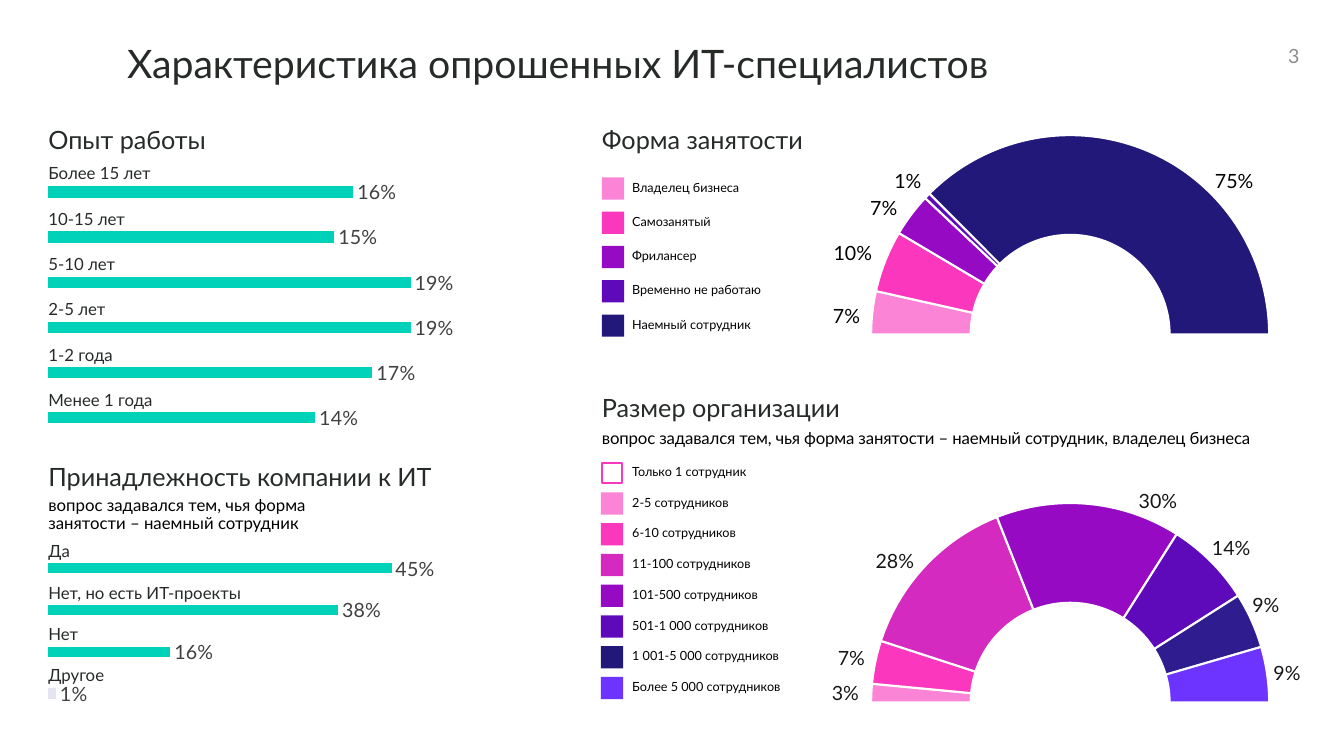
from pptx import Presentation
from pptx.chart.data import CategoryChartData
from pptx.dml.color import RGBColor
from pptx.enum.chart import XL_CHART_TYPE, XL_LABEL_POSITION
from pptx.enum.shapes import MSO_SHAPE
from pptx.enum.text import MSO_ANCHOR, PP_ALIGN
from pptx.oxml import parse_xml
from pptx.oxml.ns import nsdecls
from pptx.util import Inches, Pt

BAR, DOUGHNUT = XL_CHART_TYPE.BAR_CLUSTERED, XL_CHART_TYPE.DOUGHNUT
OUTSIDE_END = XL_LABEL_POSITION.OUTSIDE_END
RECTANGLE = MSO_SHAPE.RECTANGLE
TOP, MIDDLE = MSO_ANCHOR.TOP, MSO_ANCHOR.MIDDLE
LEFT, CENTER, RIGHT = PP_ALIGN.LEFT, PP_ALIGN.CENTER, PP_ALIGN.RIGHT

DARK, BLACK, SOFT_BLACK, GREY = "262B28", "000000", "181717", "8C8C8C"
TEAL, PALE, WHITE, LABEL_GREY = "00D2B9", "E4E4F2", "FFFFFF", "404040"
PINK, MAGENTA, ORCHID, PURPLE = "FC84D7", "FA37BD", "D42AC0", "960AC3"
VIOLET, NAVY, INDIGO, BLUE = "5E0ABA", "22187A", "2F1D90", "6D33FF"

TITLE = "Характеристика опрошенных ИТ-специалистов"
HEADINGS = [
    ("Опыт работы", 0.48, 1.27, 4.12),
    ("Принадлежность компании к ИТ", 0.48, 4.61, 4.22),
    ("Форма занятости", 5.97, 1.27, 2.39),
    ("Размер организации", 5.97, 3.93, 2.93),
]
COMPANY_NOTE = "вопрос задавался тем, чья форма занятости – наемный сотрудник"
SIZE_NOTE = COMPANY_NOTE + ", владелец бизнеса"

BAR_BLOCKS = [
    {
        "rows": [("Более 15 лет", 0.16), ("10-15 лет", 0.15), ("5-10 лет", 0.19),
                 ("2-5 лет", 0.19), ("1-2 года", 0.17), ("Менее 1 года", 0.14)],
        "box": (0.48, 1.68, 4.12, 2.69), "label_top": 1.64, "step": 0.45,
        "maximum": 0.2, "pale_last": False,
    },
    {
        "rows": [("Да", 0.45), ("Нет, но есть ИТ-проекты", 0.38), ("Нет", 0.16),
                 ("Другое", 0.01)],
        "box": (0.48, 5.43, 4.12, 1.66), "label_top": 5.39, "step": 0.41,
        "maximum": 0.5, "pale_last": True,
    },
]

# legend: text, swatch colour, slice colour, share
# percents: text, left, top, width, alignment
RING_BLOCKS = [
    {
        "legend": [
            ("Владелец бизнеса", PINK, PINK, 7),
            ("Самозанятый", MAGENTA, MAGENTA, 10),
            ("Фрилансер", PURPLE, PURPLE, 7),
            ("Временно не работаю", VIOLET, VIOLET, 1),
            ("Наемный сотрудник", NAVY, NAVY, 75),
        ],
        "ring_top": 1.18, "legend_left": 5.97, "legend_top": 1.76, "step": 0.34,
        "color": BLACK,
        "percents": [
            ("7%", 8.16, 3.04, 0.37, RIGHT), ("10%", 8.26, 2.42, 0.39, RIGHT),
            ("7%", 8.59, 1.97, 0.31, RIGHT), ("1%", 8.68, 1.7, 0.46, RIGHT),
            ("75%", 12.05, 1.7, 0.51, LEFT),
        ],
    },
    {
        "legend": [
            ("Только 1 сотрудник", None, WHITE, 0),
            ("2-5 сотрудников", PINK, PINK, 3),
            ("6-10 сотрудников", MAGENTA, MAGENTA, 7),
            ("11-100 сотрудников", ORCHID, ORCHID, 28),
            ("101-500 сотрудников", PURPLE, PURPLE, 30),
            ("501-1 000 сотрудников", VIOLET, VIOLET, 14),
            ("1 001-5 000 сотрудников", NAVY, INDIGO, 9),
            ("Более 5 000 сотрудников", BLUE, BLUE, 9),
        ],
        "ring_top": 4.83, "legend_left": 5.96, "legend_top": 4.58, "step": 0.305,
        "color": SOFT_BLACK,
        "percents": [
            ("3%", 8.2, 6.78, 0.37, CENTER), ("7%", 8.26, 6.43, 0.37, CENTER),
            ("28%", 8.63, 5.47, 0.49, CENTER), ("30%", 11.24, 4.88, 0.49, CENTER),
            ("14%", 12.02, 5.34, 0.49, LEFT), ("9%", 12.42, 5.91, 0.49, LEFT),
            ("9%", 12.63, 6.58, 0.49, LEFT),
        ],
    },
]


def rgb(color):
    return RGBColor.from_string(color)


def paint(fill, color):
    fill.solid()
    fill.fore_color.rgb = rgb(color)


def write(shape, text, size, color, align=LEFT, spacing=0.9, anchor=TOP):
    frame = shape.text_frame
    frame_format = {"margin_left": 0, "margin_top": 0, "margin_right": 0,
                    "margin_bottom": 0, "word_wrap": True, "vertical_anchor": anchor}
    for name, value in frame_format.items():
        setattr(frame, name, value)
    paragraph = frame.paragraphs[0]
    paragraph.alignment, paragraph.line_spacing = align, spacing
    run = paragraph.add_run()
    run.text = text
    run.font.name, run.font.size = "Lato", Pt(size)
    run.font.color.rgb = rgb(color)
    return run


def add_text(text, left, top, width, height, size, color, **text_format):
    box = slide.shapes.add_textbox(*map(Inches, (left, top, width, height)))
    return write(box, text, size, color, **text_format)


def add_chart(kind, values, box, plot_area):
    """Add a one-series chart whose plot area takes the given fractions."""
    data = CategoryChartData()
    data.categories = [str(number + 1) for number in range(len(values))]
    data.add_series("Series 1", values)
    chart = slide.shapes.add_chart(kind, *map(Inches, box), data).chart
    chart.has_legend = chart.has_title = False
    chart.font.name, chart.font.size = "Calibri", Pt(10)
    chart.font.color.rgb = rgb(BLACK)
    area = chart.element.xpath("c:chart/c:plotArea")[0]
    for layout in area.xpath("c:layout"):
        area.remove(layout)
    sides = "".join(f'<c:{side} val="{value}"/>' for side, value in zip("xywh", plot_area))
    area.insert(0, parse_xml(
        f'<c:layout {nsdecls("c")}><c:manualLayout><c:layoutTarget val="inner"/>'
        f'<c:xMode val="edge"/><c:yMode val="edge"/>{sides}</c:manualLayout></c:layout>'))
    return chart


def add_bar_block(block):
    values = [value for _, value in reversed(block["rows"])]
    chart = add_chart(BAR, values, block["box"], (0, 0, 0.918, 1))
    chart.category_axis.visible = chart.value_axis.visible = False
    chart.value_axis.has_major_gridlines = False
    chart.value_axis.minimum_scale = 0
    chart.value_axis.maximum_scale = block["maximum"]
    plot = chart.plots[0]
    plot.gap_width, plot.vary_by_categories = 300, False
    series = plot.series[0]
    paint(series.format.fill, TEAL)
    if block["pale_last"]:
        paint(series.points[0].format.fill, PALE)
    labels = series.data_labels
    label_format = {"show_value": True, "position": OUTSIDE_END,
                    "number_format": "0%", "number_format_is_linked": False}
    for name, value in label_format.items():
        setattr(labels, name, value)
    labels.font.name, labels.font.size = "Lato", Pt(14)
    labels.font.color.rgb = rgb(LABEL_GREY)
    for index, (text, _) in enumerate(block["rows"]):
        top = block["label_top"] + index * block["step"]
        add_text(text, 0.48, top, 2.48, 0.18, 12, DARK)


def add_ring(block):
    """Add a half ring: the lower half is one unfilled slice as big as all others."""
    shares = [share for *_, share in block["legend"]]
    chart = add_chart(DOUGHNUT, shares + [sum(shares)],
                      (8.63, block["ring_top"], 3.97, 4.12), (0, 0.039, 0.997, 0.961))
    plot = chart.plots[0]
    plot.has_data_labels = False
    chart.element.xpath(".//c:firstSliceAng")[0].set("val", "270")
    chart.element.xpath(".//c:holeSize")[0].set("val", "50")
    points = plot.series[0].points
    for index, (_, _, color, _) in enumerate(block["legend"]):
        point_format = points[index].format
        paint(point_format.fill, color)
        paint(point_format.line.fill, WHITE)
        point_format.line.width = Pt(1.5)
    lower_half = points[len(shares)].format
    lower_half.fill.background()
    lower_half.line.fill.background()


def add_legend(block):
    for index, (text, color, _, _) in enumerate(block["legend"]):
        left, top = block["legend_left"], block["legend_top"] + index * block["step"]
        inset = 0 if color else 0.01
        side = 0.22 - 2 * inset
        swatch = slide.shapes.add_shape(
            RECTANGLE, *map(Inches, (left + inset, top + inset, side, side)))
        swatch.shadow.inherit = False
        if color:
            paint(swatch.fill, color)
            swatch.line.fill.background()
        else:
            swatch.fill.background()
            paint(swatch.line.fill, MAGENTA)
            swatch.line.width = Pt(1.5)
        add_text(text, 6.27, top + 0.05, 2.08, 0.12, 9, BLACK, spacing=0.8)


presentation = Presentation()
presentation.slide_width, presentation.slide_height = Inches(13.33), Inches(7.5)
slide = presentation.slides.add_slide(presentation.slide_layouts[5])

title = slide.shapes.title
title.left, title.top, title.width, title.height = map(Inches, (1.26, 0.44, 10.7, 0.42))
write(title, TITLE, 28, DARK, anchor=MIDDLE)
add_text("3", 12.33, 0.42, 0.56, 0.27, 14, GREY, align=RIGHT, spacing=1, anchor=MIDDLE)

for block in BAR_BLOCKS:
    add_bar_block(block)
for block in RING_BLOCKS:
    add_ring(block)
    add_legend(block)
    for text, left, top, width, align in block["percents"]:
        add_text(text, left, top, width, 0.21, 14, block["color"], align=align)
for text, left, top, width in HEADINGS:
    add_text(text, left, top, width, 0.27, 18, DARK)
add_text(COMPANY_NOTE, 0.48, 4.93, 3.33, 0.36, 12, BLACK)
size_note = add_text(SIZE_NOTE, 5.97, 4.27, 7.14, 0.18, 12, BLACK)
size_note.font._element.set("spc", "-10")

presentation.save("out.pptx")
